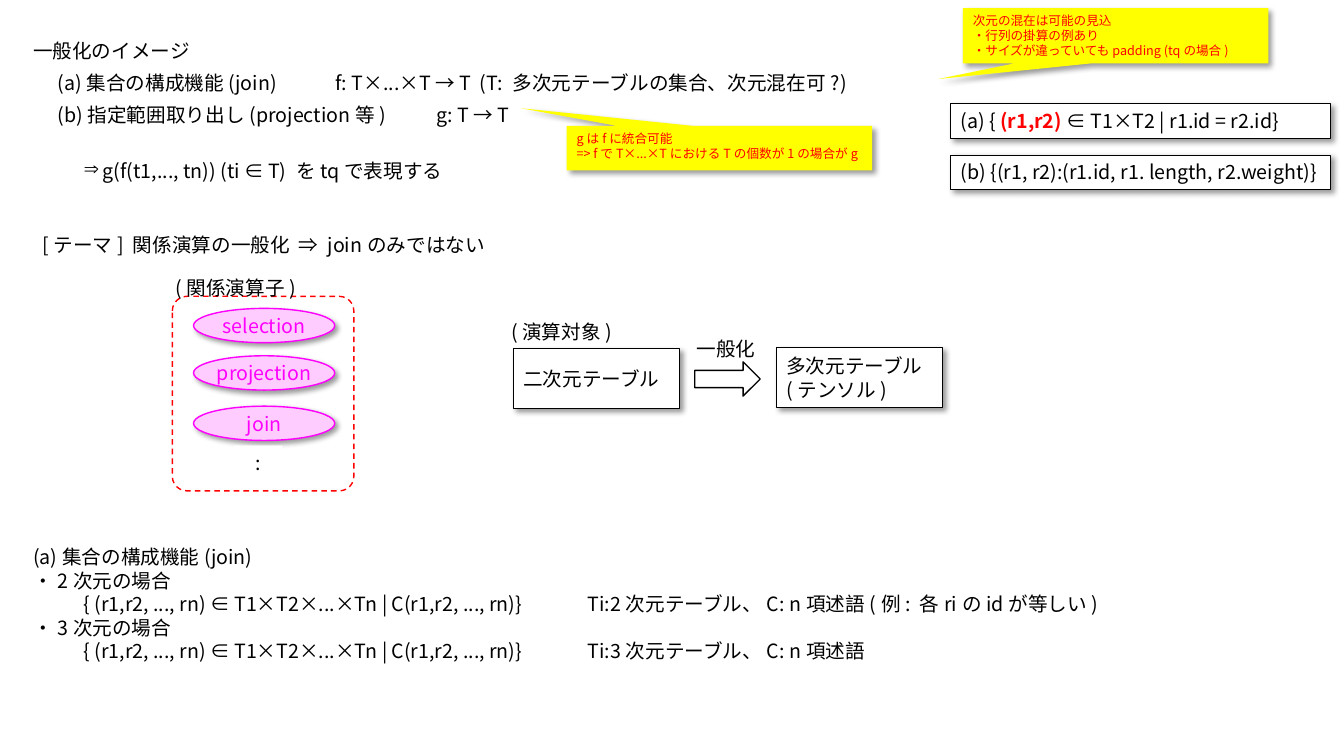
import dataclasses

import pptx
import pptx.dml.color
import pptx.enum.dml
import pptx.enum.shapes
import pptx.enum.text
import pptx.oxml.ns
import pptx.util
from lxml import etree

SHAPE = pptx.enum.shapes.MSO_SHAPE
ANCHOR = pptx.enum.text.MSO_ANCHOR
ALIGN = pptx.enum.text.PP_ALIGN
qn = pptx.oxml.ns.qn


@dataclasses.dataclass(frozen=True)
class Theme:
    font: str = "Noto Sans CJK JP"
    body: int = 14
    note: int = 9
    black: str = "000000"
    white: str = "FFFFFF"
    red: str = "FF0000"
    yellow: str = "FFFF00"
    pink: str = "FFCCFF"
    magenta: str = "FF00FF"
    cell: float = 0.1  # inches per grid column and row


def rgb(color):
    return pptx.dml.color.RGBColor.from_string(color)


class Page:
    """Draws on one slide; every place is (column, row, columns, rows)."""

    def __init__(self, slide, theme):
        self.shapes = slide.shapes
        self.theme = theme

    def place(self, cells):
        return [pptx.util.Inches(round(count * self.theme.cell, 3)) for count in cells]

    def style_span(self, span, size, color, bold=False):
        span.font.size = pptx.util.Pt(size)
        span.font.bold = bold
        span.font.color.rgb = rgb(color)
        span.font.name = self.theme.font
        etree.SubElement(span.font._element, qn("a:ea"), typeface=self.theme.font)

    def set_lines(self, box, lines, size=None, color=None, anchor=ANCHOR.TOP, align=ALIGN.LEFT):
        frame = box.text_frame
        frame.word_wrap = True
        frame.vertical_anchor = anchor
        frame.text = "\n".join(lines)
        for para in frame.paragraphs:
            para.alignment = align
            for span in para.runs:
                self.style_span(span, size or self.theme.body, color or self.theme.black)
        return frame

    def text(self, cells, lines):
        return self.set_lines(self.shapes.add_textbox(*self.place(cells)), lines)

    def shape(self, kind, cells, fill=None, line=None, width=1, shadow=False):
        shape = self.shapes.add_shape(kind, *self.place(cells))
        shape.fill.solid()
        shape.fill.fore_color.rgb = rgb(fill or self.theme.white)
        if line:
            shape.line.color.rgb = rgb(line)
            shape.line.width = pptx.util.Pt(width)
        else:
            shape.line.fill.background()
        shape.shadow.inherit = False
        if shadow:
            self.cast_shadow(shape)
        return shape

    def cast_shadow(self, shape):
        effects = shape._element.spPr.find(qn("a:effectLst"))
        outer = etree.SubElement(effects, qn("a:outerShdw"), blurRad=str(pptx.util.Pt(4)),
                                 dist=str(pptx.util.Pt(3)), dir=str(45 * 60000),
                                 algn="tl", rotWithShape="0")
        tint = etree.SubElement(outer, qn("a:srgbClr"), val=self.theme.black)
        etree.SubElement(tint, qn("a:alpha"), val="40000")

    def panel(self, cells, lines, align=ALIGN.LEFT):
        """White text area without a frame."""
        return self.set_lines(self.shape(SHAPE.RECTANGLE, cells), lines, align=align)

    def framed(self, cells, lines, anchor=ANCHOR.MIDDLE):
        box = self.shape(SHAPE.RECTANGLE, cells, line=self.theme.black, width=0.75, shadow=True)
        return self.set_lines(box, lines, anchor=anchor)

    def operator(self, cells, name):
        oval = self.shape(SHAPE.OVAL, cells, self.theme.pink, self.theme.magenta, shadow=True)
        frame = self.set_lines(oval, [name], color=self.theme.magenta,
                               anchor=ANCHOR.MIDDLE, align=ALIGN.CENTER)
        frame.margin_left = frame.margin_right = frame.margin_top = frame.margin_bottom = 0

    def callout(self, cells, tip, lines):
        box = self.shape(SHAPE.RECTANGULAR_CALLOUT, cells, self.theme.yellow, shadow=True)
        box.adjustments[0], box.adjustments[1] = tip
        self.set_lines(box, lines, self.theme.note, self.theme.red)

    def indent(self, para, left, first=0, bullet=None):
        para.level = 1
        properties = para._p.get_or_add_pPr()
        left, first = self.place((left, first))
        properties.set("marL", str(left))
        properties.set("indent", str(first))
        if bullet:
            etree.SubElement(properties, qn("a:buChar"), char=bullet)


def draw_overview(page):
    frame = page.panel((2.3, 3.4, 109.5, 15.3), [
        "一般化のイメージ",
        "　(a)集合の構成機能(join)\t\tf: T×...×T → T  (T: 多次元テーブルの集合、次元混在可?)",
        "　(b)指定範囲取り出し(projection等)\tg: T → T",
        "g(f(t1,..., tn)) (ti ∈ T) をtqで表現する",
    ])
    page.indent(frame.paragraphs[3], 6.9, -1.9, "⇒")
    for para, gap in zip(frame.paragraphs[1:], (6, 6, 23)):
        para.space_before = pptx.util.Pt(gap)
    page.panel((3.2, 22.6, 52, 3.4), ["[テーマ] 関係演算の一般化  ⇒ joinのみではない"])


def draw_operators(page):
    for row, name in ((30.6, "selection"), (35.3, "projection"), (40.3, "join")):
        page.operator((19.2, row, 14, 3.4), name)
    page.panel((23.2, 44.2, 4.8, 3.4), [":"], ALIGN.CENTER)
    page.text((16.4, 26.9, 15.9, 3.4), ["(関係演算子)"])


def draw_operands(page):
    page.framed((50.9, 34.6, 16.5, 5.9), ["二次元テーブル"])
    page.framed((77, 34.5, 16.5, 5.9), ["多次元テーブル", "(テンソル)"])
    page.shape(SHAPE.RIGHT_ARROW, (68.9, 35.9, 6.5, 3.4), line=page.theme.black)
    page.text((49.7, 31.2, 15.9, 3.4), ["(演算対象)"])
    page.text((68.1, 32.9, 7.9, 3.4), ["一般化"])


def draw_join_cases(page):
    join_set = "{ (r1,r2, ..., rn) ∈ T1×T2×...×Tn | C(r1,r2, ..., rn)}\t\t"
    frame = page.text((2.3, 53.6, 120.5, 17.5), [
        "(a)集合の構成機能(join)",
        "・2次元の場合",
        join_set + "Ti:2次元テーブル、C: n項述語(例: 各riのidが等しい)",
        "・3次元の場合",
        join_set + "Ti:3次元テーブル、C: n項述語",
    ])
    for para in frame.paragraphs[2::2]:
        page.indent(para, 5)


def draw_examples(page):
    page.framed((94.3, 15.4, 37.7, 3.4),
                ["(b) {(r1, r2):(r1.id, r1. length, r2.weight)}"], ANCHOR.TOP)
    para = page.framed((94.3, 10.3, 37.7, 3.4), ["(a) { "], ANCHOR.TOP).paragraphs[0]
    for words, color, bold in (("(r1,r2) ", page.theme.red, True),
                               ("∈ T1×T2 | r1.id = r2.id}", page.theme.black, False)):
        span = para.add_run()
        span.text = words
        page.style_span(span, page.theme.body, color, bold)


def draw_callouts(page):
    page.callout((95.5, 0.8, 30.3, 5.5), (-0.58, 0.78), [
        "次元の混在は可能の見込",
        "・行列の掛算の例あり",
        "・サイズが違っていてもpadding (tqの場合)",
    ])
    page.callout((56.2, 12.5, 30.3, 4.4), (-0.65, -0.9), [
        "gはfに統合可能",
        "=> fでT×...×TにおけるTの個数が1の場合がg",
    ])


def main():
    deck = pptx.Presentation()
    deck.slide_width = pptx.util.Inches(13.33)
    deck.slide_height = pptx.util.Inches(7.5)
    page = Page(deck.slides.add_slide(deck.slide_layouts[6]), Theme())
    group = page.shape(SHAPE.ROUNDED_RECTANGLE, (17.1, 29.4, 18, 19.3), line=page.theme.red)
    group.adjustments[0] = 0.08
    group.line.dash_style = pptx.enum.dml.MSO_LINE.DASH
    draw_overview(page)
    draw_operands(page)
    draw_operators(page)
    draw_join_cases(page)
    draw_examples(page)
    draw_callouts(page)
    deck.save("out.pptx")


if __name__ == "__main__":
    main()
